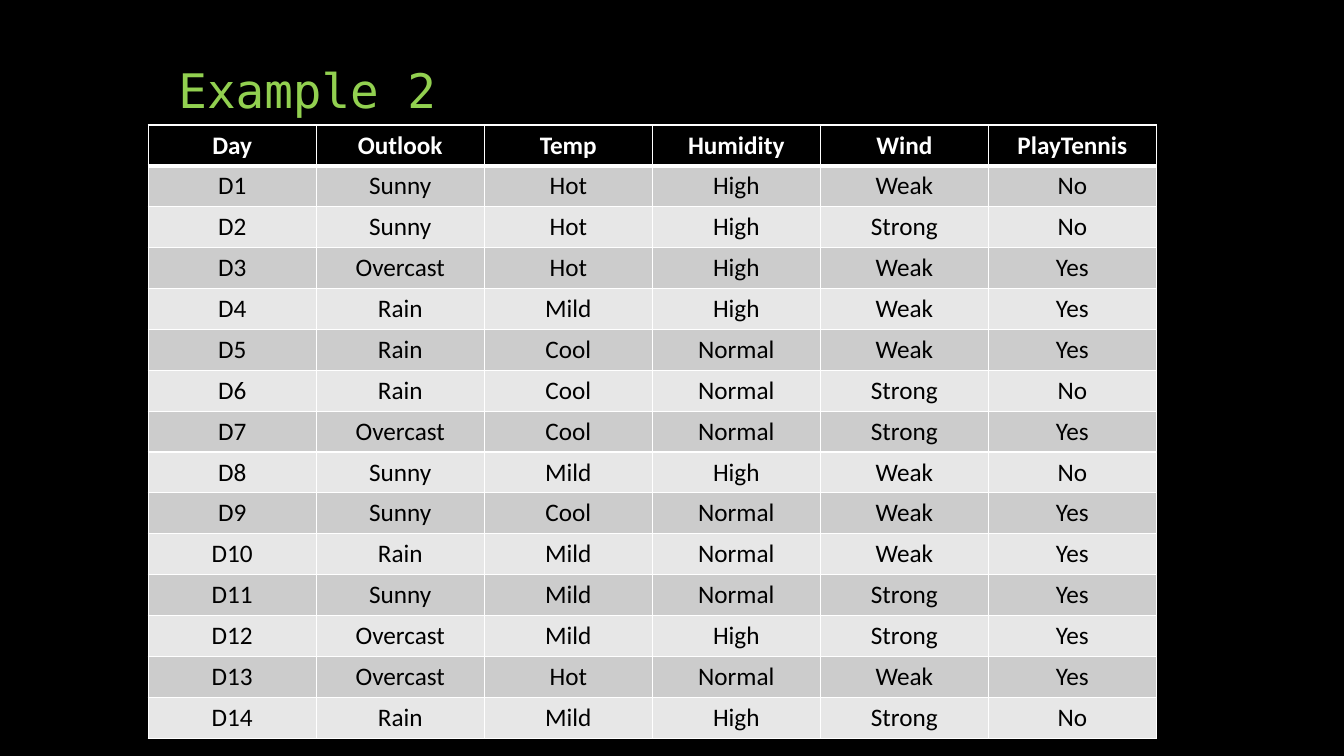
from dataclasses import dataclass

from lxml.etree import SubElement
from pptx import Presentation
from pptx.dml.color import RGBColor as RGB
from pptx.enum.text import MSO_ANCHOR as Anchor, MSO_AUTO_SIZE as AutoSize, PP_ALIGN as Align
from pptx.oxml.ns import qn
from pptx.util import Inches, Pt


@dataclass(frozen=True)
class Theme:
    background: str = "000000"
    title_color: str = "92D050"
    header_fill: str = "000000"
    header_text: str = "FFFFFF"
    body_text: str = "000000"
    bands: tuple = ("CCCCCC", "E7E7E7")
    border: str = "FFFFFF"
    thin: int = 1
    thick: int = 3
    title_font: str = "DejaVu Sans Mono"
    body_font: str = "Calibri"
    title_size: int = 34
    body_size: int = 18


HEADINGS = ["Day", "Outlook", "Temp", "Humidity", "Wind", "PlayTennis"]
OBSERVATIONS = """
Sunny Hot High Weak No
Sunny Hot High Strong No
Overcast Hot High Weak Yes
Rain Mild High Weak Yes
Rain Cool Normal Weak Yes
Rain Cool Normal Strong No
Overcast Cool Normal Strong Yes
Sunny Mild High Weak No
Sunny Cool Normal Weak Yes
Rain Mild Normal Weak Yes
Sunny Mild Normal Strong Yes
Overcast Mild High Strong Yes
Overcast Hot Normal Weak Yes
Rain Mild High Strong No
"""


class SlideBuilder:
    def __init__(self, deck, theme):
        self.theme = theme
        self.slide = deck.slides.add_slide(deck.slide_layouts.get_by_name("Title Only"))
        fill = self.slide.background.fill
        fill.solid()
        fill.fore_color.rgb = RGB.from_string(theme.background)

    def apply(self, target, formats):
        for name, value in formats.items():
            setattr(target, name, value)

    def add_text(self, frame, text, color, align, font_formats):
        para = frame.paragraphs[0]
        para.alignment = align
        span = para.add_run()
        span.text = text
        self.apply(span.font, font_formats)
        span.font.color.rgb = RGB.from_string(color)
        return para

    def title(self, text, left, top, width, height):
        theme = self.theme
        box = self.slide.shapes.title
        self.apply(box, {"left": Inches(left), "top": Inches(top),
                         "width": Inches(width), "height": Inches(height)})
        self.apply(box.text_frame, {"vertical_anchor": Anchor.BOTTOM, "word_wrap": True,
                                    "auto_size": AutoSize.NONE})
        para = self.add_text(box.text_frame, text, theme.title_color, Align.LEFT,
                             {"name": theme.title_font, "size": Pt(theme.title_size)})
        para.line_spacing = 0.9

    def borders(self, cell, widths):
        properties = cell._tc.get_or_add_tcPr()
        for side, width in widths.items():
            line = SubElement(properties, qn(f"a:ln{side}"), w=str(Pt(width)))
            fill = SubElement(line, qn("a:solidFill"))
            SubElement(fill, qn("a:srgbClr"), val=self.theme.border)

    def cell(self, cell, text, row):
        theme = self.theme
        header = row == 0
        self.borders(cell, {"L": theme.thin, "R": theme.thin,
                            "T": theme.thick if row == 1 else theme.thin,
                            "B": theme.thick if header else theme.thin})
        cell.fill.solid()
        fill = theme.header_fill if header else theme.bands[(row - 1) % 2]
        cell.fill.fore_color.rgb = RGB.from_string(fill)
        self.add_text(cell.text_frame, text,
                      theme.header_text if header else theme.body_text, Align.CENTER,
                      {"name": theme.body_font, "size": Pt(theme.body_size), "bold": header})

    def table(self, rows, left, top, width, height):
        table = self.slide.shapes.add_table(
            len(rows), len(rows[0]), Inches(left), Inches(top),
            Inches(width), Inches(height)).table
        for row, values in enumerate(rows):
            for column, text in enumerate(values):
                self.cell(table.cell(row, column), text, row)


def main():
    deck = Presentation()
    deck.slide_width, deck.slide_height = Inches(13.33), Inches(7.5)
    days = [[f"D{number}", *line.split()]
            for number, line in enumerate(OBSERVATIONS.strip().splitlines(), 1)]
    page = SlideBuilder(deck, Theme())
    page.title("Example 2", 1.67, 0.5, 10, 0.73)
    page.table([HEADINGS, *days], 1.47, 1.24, 10, 6.08)
    deck.save("out.pptx")


if __name__ == "__main__":
    main()
